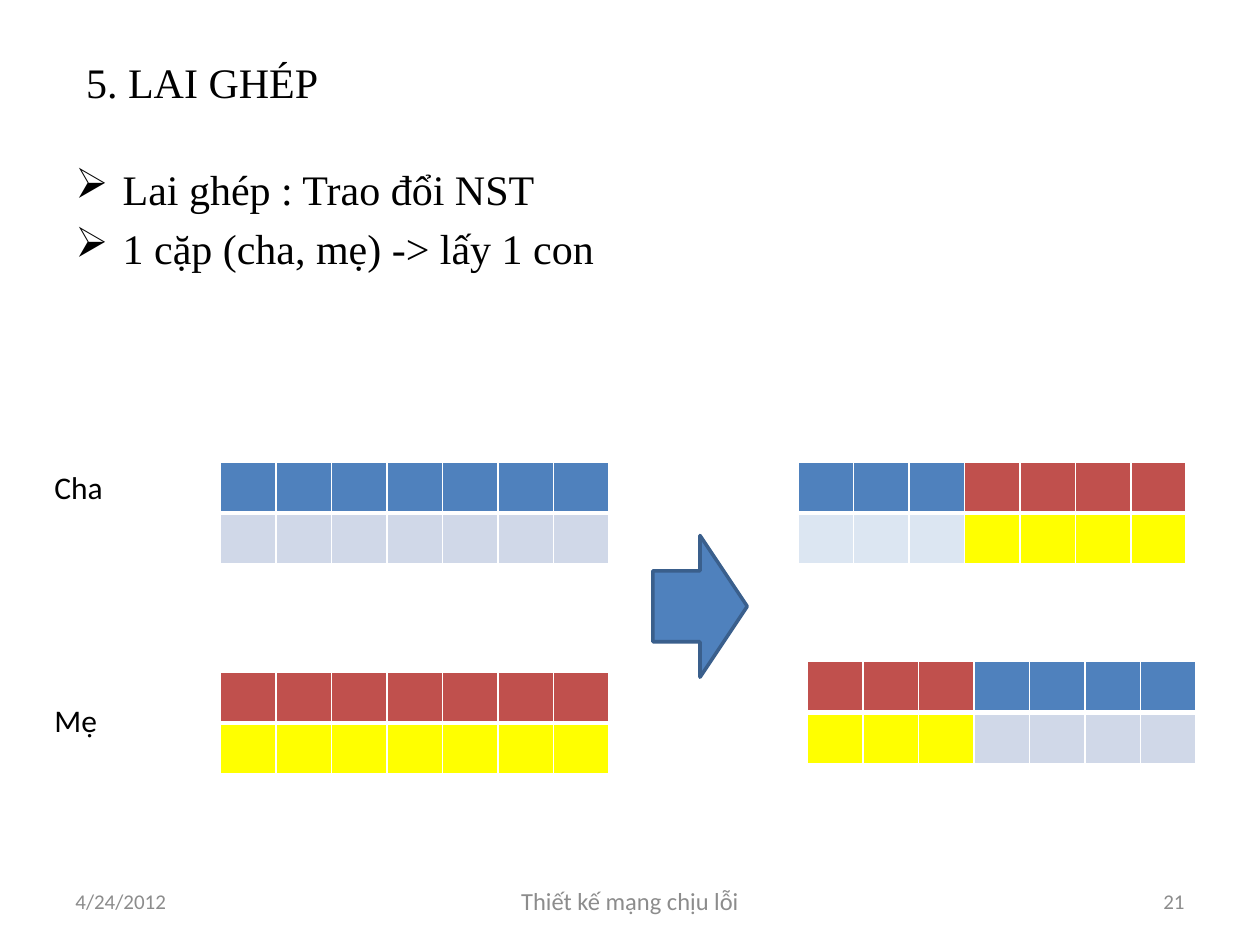
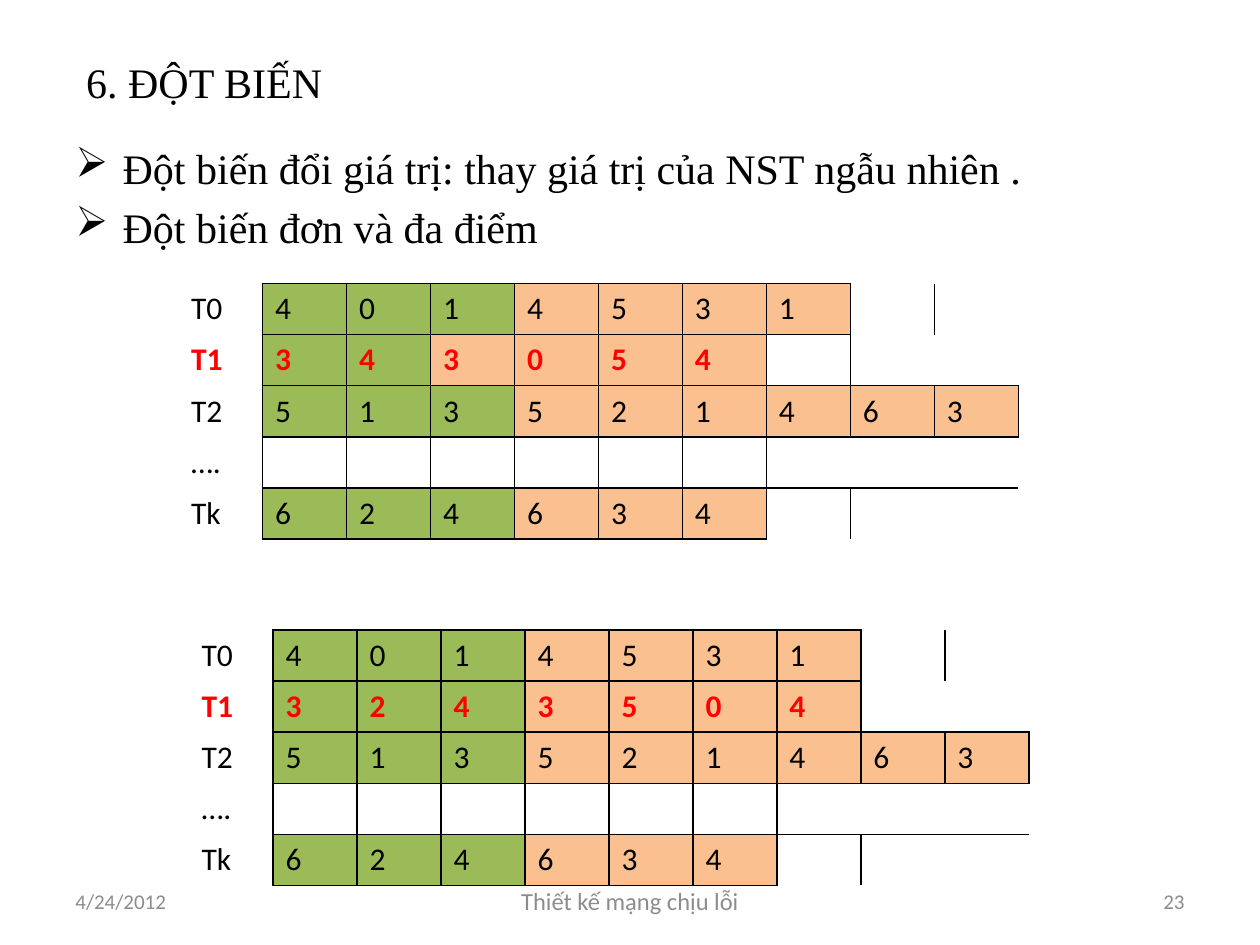
import pptx
import pptx.dml.color
import pptx.enum.shapes
import pptx.enum.text
import pptx.oxml.ns
import pptx.util
from lxml import etree

Pt = pptx.util.Pt
qn = pptx.oxml.ns.qn
colour = pptx.dml.color.RGBColor.from_string
ALIGN = pptx.enum.text.PP_ALIGN
ANCHOR = pptx.enum.text.MSO_ANCHOR

BLACK, WHITE, GREY, RED = "000000", "FFFFFF", "8C8C8C", "FF0000"
BLUE, BRICK, YELLOW = "4F81BD", "C0504D", "FFFF00"
PALE_BLUE, ICE_BLUE = "D0D8E8", "DCE6F2"
GREEN, ORANGE = "9BBB59", "FAC090"
SERIF, SANS = "Times New Roman", "Calibri"
NO_GRID_STYLE = "{2D5ABB26-0587-4C30-8999-92F81FD0307C}"
ROW_HEIGHT = 29.2


def add_text(slide, box, lines, size, font=SANS, text_colour=BLACK,
             align=ALIGN.LEFT, anchor=ANCHOR.TOP, bullet=None):
    shape = slide.shapes.add_textbox(*[Pt(length) for length in box])
    frame = shape.text_frame
    frame.word_wrap = True
    frame.vertical_anchor = anchor
    frame.text = "\n".join(lines)
    for index, paragraph in enumerate(frame.paragraphs):
        paragraph.alignment = align
        if bullet:
            properties = paragraph._p.get_or_add_pPr()
            properties.set("marL", str(Pt(27)))
            properties.set("indent", str(Pt(-27)))
            etree.SubElement(properties, qn("a:buChar")).set("char", bullet)
            if index:
                paragraph.space_before = Pt(0.2 * size)
        for run in paragraph.runs:
            run.font.size = Pt(size)
            run.font.name = font
            run.font.color.rgb = colour(text_colour)


def add_grid(slide, left, top, column_width, fills, line_colour, edges):
    rows, columns = len(fills), len(fills[0])
    table = slide.shapes.add_table(
        rows, columns, Pt(left), Pt(top),
        Pt(columns * column_width), Pt(rows * ROW_HEIGHT)).table
    table.first_row = table.horz_banding = False
    table._tbl.tblPr.find(qn("a:tableStyleId")).text = NO_GRID_STYLE
    for column in table.columns:
        column.width = Pt(column_width)
    for row in range(rows):
        table.rows[row].height = Pt(ROW_HEIGHT)
        for column in range(columns):
            cell = table.cell(row, column)
            properties = cell._tc.get_or_add_tcPr()
            for side, width in edges[row][column].items():
                line = etree.SubElement(properties, qn("a:ln" + side), w=str(Pt(width)))
                solid = etree.SubElement(line, qn("a:solidFill"))
                etree.SubElement(solid, qn("a:srgbClr"), val=line_colour)
            cell.fill.solid()
            cell.fill.fore_color.rgb = colour(fills[row][column])
    return table


presentation = pptx.Presentation()
presentation.slide_width = Pt(720)
presentation.slide_height = Pt(540)

pages = [
    ("5. LAI GHÉP", "21", 90, 96,
     ["Lai ghép : Trao đổi NST", "1 cặp (cha, mẹ) -> lấy 1 con"]),
    ("6. ĐỘT BIẾN", "23", 78, 114,
     ["Đột biến đổi giá trị: thay giá trị của NST ngẫu nhiên .",
      "Đột biến đơn và đa điểm"]),
]
slides = []
for heading, number, body_top, body_height, bullets in pages:
    slide = presentation.slides.add_slide(presentation.slide_layouts[5])
    slides.append(slide)
    title = slide.shapes.title
    title.left, title.top, title.width, title.height = Pt(42), Pt(21.6), Pt(642), Pt(50.4)
    title.text_frame.text = heading
    title.text_frame.vertical_anchor = ANCHOR.MIDDLE
    paragraph = title.text_frame.paragraphs[0]
    paragraph.alignment = ALIGN.LEFT
    font = paragraph.runs[0].font
    font.name, font.size = SERIF, Pt(24)
    font.color.rgb = colour(BLACK)
    add_text(slide, (36, body_top, 648, body_height), bullets, 24, SERIF, bullet="➢")
    for left, width, text, size, align in [
        (36, 168, "4/24/2012", 12, ALIGN.LEFT),
        (246, 228, "Thiết kế mạng chịu lỗi", 14, ALIGN.CENTER),
        (516, 168, number, 12, ALIGN.RIGHT),
    ]:
        add_text(slide, (left, 500.5, width, 28.75), [text], size,
                 text_colour=GREY, align=align, anchor=ANCHOR.MIDDLE)

crossover, mutation = slides

father, mother = (BLUE, PALE_BLUE), (BRICK, YELLOW)
chromosome_edges = [
    [{"L": 1, "R": 1, "T": 1, "B": 3}] * 7,
    [{"L": 1, "R": 1, "T": 3, "B": 1}] * 7,
]
for left, top, head, tail in [
    (126, 264, father, father),
    (126, 384, mother, mother),
    (456, 264, (BLUE, ICE_BLUE), mother),
    (461.5, 378, mother, father),
]:
    fills = [[first] * 3 + [last] * 4 for first, last in zip(head, tail)]
    add_grid(crossover, left, top, 31.7, fills, WHITE, chromosome_edges)

for top, parent in [(264, "Cha"), (397, "Mẹ")]:
    add_text(crossover, (24, top, 72, 29), [parent], 18)

arrow = crossover.shapes.add_shape(
    pptx.enum.shapes.MSO_SHAPE.RIGHT_ARROW, Pt(373), Pt(306), Pt(54), Pt(81))
arrow.shadow.inherit = False
arrow.fill.solid()
arrow.fill.fore_color.rgb = colour(BLUE)
arrow.line.color.rgb = colour("3A5F8C")
arrow.line.width = Pt(2)

labels = ["T0", "T1", "T2", "….", "Tk"]
framed_counts = [7, 6, 9, 5, 6]
neighbours = {"L": (0, -1), "R": (0, 1), "T": (-1, 0), "B": (1, 0)}
framed = {(row, column) for row, count in enumerate(framed_counts)
          for column in range(1, count + 1)}
mutation_edges = [
    [{side: 1 for side, (down, across) in neighbours.items()
      if {(row, column), (row + down, column + across)} & framed}
     for column in range(10)]
    for row in range(5)
]
for left, top, mutated, mutated_greens in [
    (102, 162, "343054", 2),
    (108, 360, "3243504", 3),
]:
    genes = ["4014531", mutated, "513521463", "", "624634"]
    greens = [3, mutated_greens, 3, 0, 3]
    fills = [
        ([WHITE] + [GREEN] * green + [ORANGE] * (len(gene) - green) + [WHITE] * 9)[:10]
        for gene, green in zip(genes, greens)
    ]
    table = add_grid(mutation, left, top, 48, fills, BLACK, mutation_edges)
    for row, (label, gene) in enumerate(zip(labels, genes)):
        for column, text in enumerate([label, *gene]):
            cell = table.cell(row, column)
            cell.text_frame.text = text
            font = cell.text_frame.paragraphs[0].runs[0].font
            font.name, font.size = SANS, Pt(18)
            font.bold = label == "T1"
            font.color.rgb = colour(RED if label == "T1" else BLACK)

presentation.save("out.pptx")
